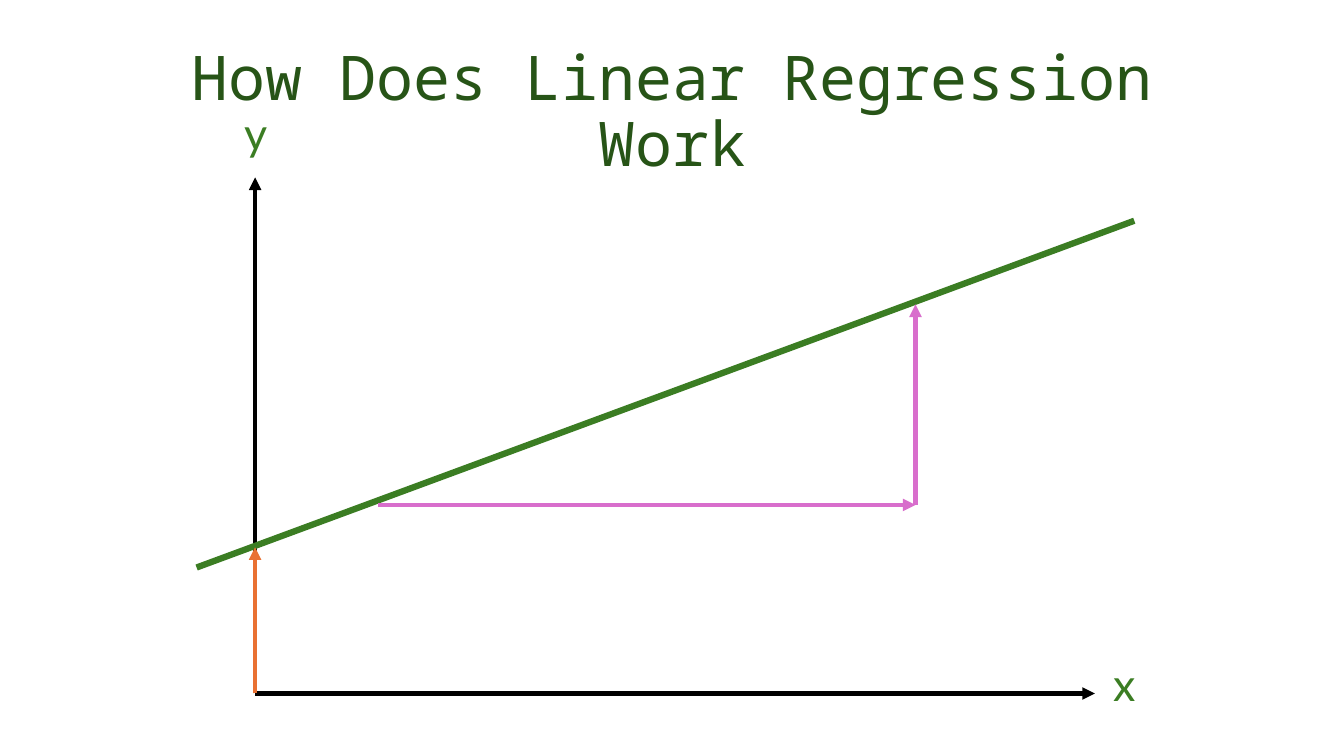
from dataclasses import dataclass

from pptx import Presentation
from pptx.dml.color import RGBColor
from pptx.enum.shapes import MSO_CONNECTOR
from pptx.enum.text import MSO_ANCHOR, PP_ALIGN
from pptx.oxml.ns import qn
from pptx.slide import Slide
from pptx.text.text import TextFrame
from pptx.util import Inches, Pt
from lxml.etree import SubElement

BLACK = RGBColor(0x00, 0x00, 0x00)
GREEN = RGBColor(0x3B, 0x7D, 0x23)
DARK_GREEN = RGBColor(0x27, 0x54, 0x17)
PINK = RGBColor(0xD8, 0x6E, 0xCC)
ORANGE = RGBColor(0xE9, 0x71, 0x32)

ORIGIN = (2.53, 6.88)
RUN_START = (3.75, 5.01)
RUN_END = (9.08, 5.01)


@dataclass(frozen=True)
class Line:
    start: tuple[float, float]
    end: tuple[float, float]
    color: RGBColor
    width: float = 3
    arrow: bool = True


@dataclass(frozen=True)
class AxisLabel:
    text: str
    left: float
    top: float
    width: float
    height: float = 0.64


LINES = [
    Line(ORIGIN, (ORIGIN[0], 1.76), BLACK),
    Line(ORIGIN, (10.86, ORIGIN[1]), BLACK),
    Line((1.95, 5.63), (11.25, 2.19), GREEN, 4.5, False),
    Line(RUN_START, RUN_END, PINK),
    Line(RUN_END, (RUN_END[0], 3.02), PINK),
    Line(ORIGIN, (ORIGIN[0], 5.43), ORANGE),
]

LABELS = [
    AxisLabel("x", 10.86, 6.46, 0.58),
    AxisLabel("y", 2.08, 1, 0.91),
]


def write_text(tf: TextFrame, text: str, font: str, size: float, color: RGBColor) -> None:
    tf.word_wrap = True
    tf.vertical_anchor = MSO_ANCHOR.MIDDLE
    p = tf.paragraphs[0]
    p.text = text
    p.alignment = PP_ALIGN.CENTER
    p.font.name = font
    p.font.size = Pt(size)
    p.font.color.rgb = color


def add_title(s: Slide) -> None:
    title = s.shapes.title
    title.left, title.top = Inches(0.92), Inches(0.4)
    title.width, title.height = Inches(11.5), Inches(1.45)
    tf = title.text_frame
    write_text(tf, "How Does Linear Regression Work", "Noto Sans Mono", 44, DARK_GREEN)
    tf.paragraphs[0].line_spacing = 0.9


def add_line(s: Slide, line: Line) -> None:
    points = [Inches(v) for v in (*line.start, *line.end)]
    connector = s.shapes.add_connector(MSO_CONNECTOR.STRAIGHT, *points)
    connector.line.color.rgb = line.color
    connector.line.width = Pt(line.width)
    if line.arrow:
        ln = connector.line._get_or_add_ln()
        SubElement(ln, qn("a:tailEnd"), type="triangle")
    SubElement(connector._element.spPr, qn("a:effectLst"))


def add_label(s: Slide, label: AxisLabel) -> None:
    box = s.shapes.add_textbox(
        Inches(label.left), Inches(label.top), Inches(label.width), Inches(label.height)
    )
    write_text(box.text_frame, label.text, "Lato", 32, GREEN)


def main() -> None:
    prs = Presentation()
    prs.slide_width, prs.slide_height = Inches(13.33), Inches(7.5)
    s = prs.slides.add_slide(prs.slide_layouts[5])
    add_title(s)
    for line in LINES:
        add_line(s, line)
    for label in LABELS:
        add_label(s, label)
    prs.save("out.pptx")


if __name__ == "__main__":
    main()
